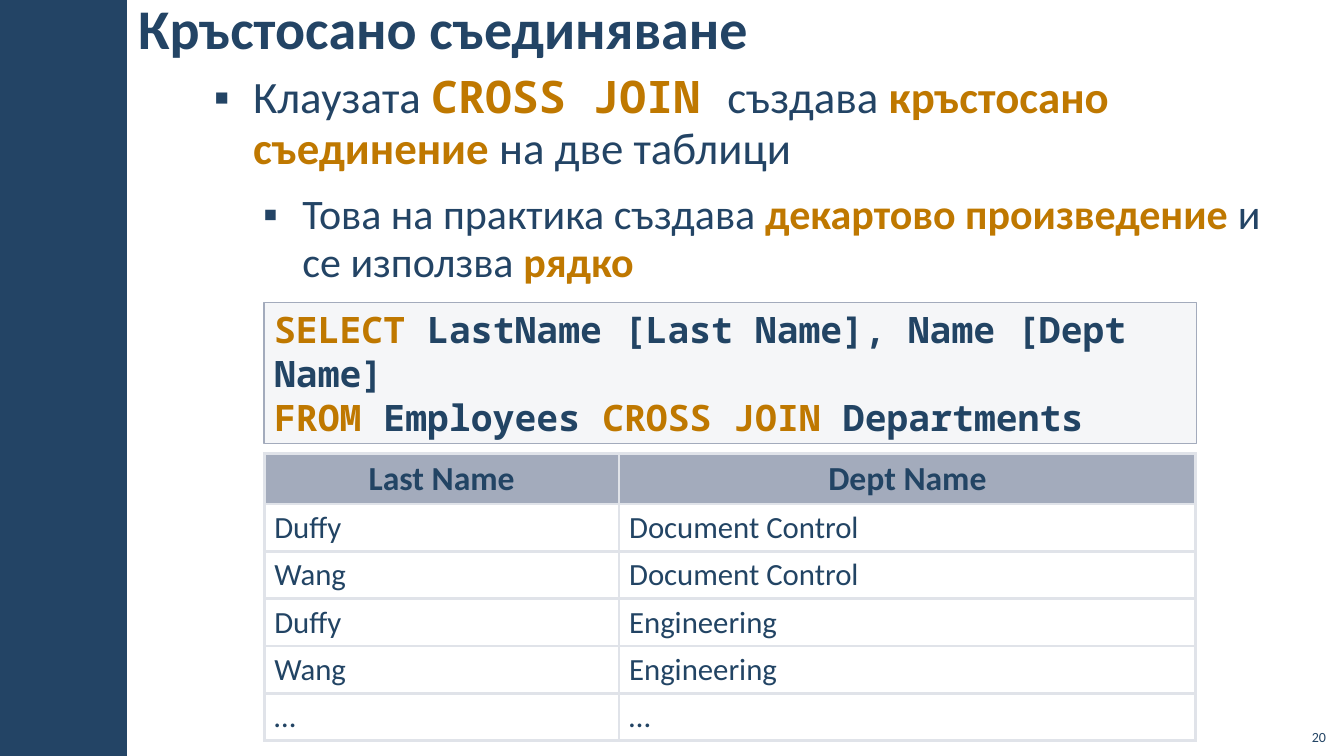
from dataclasses import dataclass

from lxml import etree
from pptx import Presentation
from pptx.dml.color import RGBColor
from pptx.enum.shapes import MSO_SHAPE
from pptx.enum.text import MSO_ANCHOR, MSO_AUTO_SIZE, PP_ALIGN
from pptx.oxml.ns import qn
from pptx.util import Emu, Pt

RECT = MSO_SHAPE.RECTANGLE
TOP, MID, LOW = MSO_ANCHOR.TOP, MSO_ANCHOR.MIDDLE, MSO_ANCHOR.BOTTOM
LEFT, MIDST, RIGHT = PP_ALIGN.LEFT, PP_ALIGN.CENTER, PP_ALIGN.RIGHT
FIXED, GROW = MSO_AUTO_SIZE.NONE, MSO_AUTO_SIZE.SHAPE_TO_FIT_TEXT

SCALE = 9144
NAVY, INK, GOLD = "234465", "224464", "BF7800"
SLATE, MIST, EDGE = "A3ABBC", "C2C7D2", "E0E3E9"
SANS, MONO = "Calibri", "Noto Sans Mono"


@dataclass
class Run:
    text: str
    size: float
    color: str = NAVY
    bold: bool = False
    font: str = SANS


@dataclass
class Item:
    level: int
    left: int
    runs: list[Run]


@dataclass
class Box:
    x: int
    y: int
    w: int
    h: int


def px(count: int) -> Emu:
    return Emu(count * SCALE)


def rgb(code: str) -> RGBColor:
    return RGBColor.from_string(code)


def write(para, runs: list[Run], align=LEFT) -> None:
    para.alignment = align
    for part in runs:
        run = para.add_run()
        run.text = part.text
        run.font.name = part.font
        run.font.size = Pt(part.size)
        run.font.bold = part.bold
        run.font.color.rgb = rgb(part.color)


def place(shape, box: Box) -> None:
    shape.left, shape.top = px(box.x), px(box.y)
    shape.width, shape.height = px(box.w), px(box.h)


def frame(shape, anchor, side: int, edge: int, fit=FIXED):
    text = shape.text_frame
    text.word_wrap = True
    text.auto_size = fit
    text.vertical_anchor = anchor
    text.margin_left = text.margin_right = px(side)
    text.margin_top = text.margin_bottom = px(edge)
    return text


def block(slide, box: Box, fill: str):
    shape = slide.shapes.add_shape(RECT, px(box.x), px(box.y), px(box.w), px(box.h))
    shape.shadow.inherit = False
    shape.fill.solid()
    shape.fill.fore_color.rgb = rgb(fill)
    shape.line.fill.background()
    return shape


def bullet(para, left: int) -> None:
    props = para._p.get_or_add_pPr()
    props.set("marL", str(px(left)))
    props.set("indent", str(px(-39)))
    color = etree.SubElement(props, qn("a:buClr"))
    etree.SubElement(color, qn("a:srgbClr"), val=NAVY)
    etree.SubElement(props, qn("a:buChar"), char="▪")


def border(cell) -> None:
    props = cell._tc.get_or_add_tcPr()
    for spot, side in enumerate(("lnL", "lnR", "lnT", "lnB")):
        line = etree.Element(qn(f"a:{side}"), w=str(Pt(2.21)))
        fill = etree.SubElement(line, qn("a:solidFill"))
        etree.SubElement(fill, qn("a:srgbClr"), val=EDGE)
        props.insert(spot, line)


def add_list(shape, items: list[Item]) -> None:
    text = frame(shape, TOP, 12, 4)
    for spot, item in enumerate(items):
        para = text.add_paragraph() if spot else text.paragraphs[0]
        para.level = item.level
        para.line_spacing = 0.95
        para.space_before = para.space_after = Pt(6)
        bullet(para, item.left)
        write(para, item.runs)


def add_code(slide, box: Box, lines: list[list[Run]]) -> None:
    shape = block(slide, box, MIST)
    color = shape.fill._xPr.find(f".//{qn('a:srgbClr')}")
    etree.SubElement(color, qn("a:alpha"), val="15000")
    shape.line.color.rgb = rgb(SLATE)
    shape.line.width = Pt(1)
    text = frame(shape, TOP, 10, 5, GROW)
    for spot, runs in enumerate(lines):
        write(text.add_paragraph() if spot else text.paragraphs[0], runs)


def add_grid(slide, box: Box, widths: list[int], rows: list[tuple[str, str]]) -> None:
    table = slide.shapes.add_table(
        len(rows), len(widths), px(box.x), px(box.y), px(box.w), px(box.h)
    ).table
    table.first_row = table.horz_banding = False
    for column, width in zip(table.columns, widths):
        column.width = px(width)
    for r, row in enumerate(rows):
        head = r == 0
        table.rows[r].height = px(50 if head else 47)
        size = 24 if head else 22
        for c, word in enumerate(row):
            cell = table.cell(r, c)
            cell.vertical_anchor = MID
            if head:
                cell.fill.solid()
                cell.fill.fore_color.rgb = rgb(SLATE)
            else:
                cell.fill.background()
            border(cell)
            para = cell.text_frame.paragraphs[0]
            para.line_spacing = 0.95
            para.space_before = Pt(size * 0.4)
            write(para, [Run(word, size, INK, head)], MIDST if head else LEFT)


def code(text: str, color: str = INK) -> Run:
    return Run(text, 26, color, True, MONO)


def main() -> None:
    deck = Presentation()
    deck.slide_width, deck.slide_height = px(1333), px(750)
    slide = deck.slides.add_slide(deck.slide_layouts[1])
    title, body = slide.placeholders

    block(slide, Box(0, 0, 126, 750), NAVY)

    place(title, Box(125, -21, 1002, 96))
    text = frame(title, MID, 12, 4)
    write(text.paragraphs[0], [Run("Кръстосано съединяване", 40, NAVY, True)])

    place(body, Box(200, 68, 1108, 607))
    add_list(body, [
        Item(0, 39, [
            Run("Клаузата ", 32),
            Run("CROSS JOIN ", 32, GOLD, True, MONO),
            Run("създава ", 32),
            Run("кръстосано съединение ", 32, GOLD, True),
            Run("на две таблици", 32),
        ]),
        Item(1, 88, [
            Run("Това на практика създава ", 30),
            Run("декартово произведение", 30, GOLD, True),
            Run(" и се използва ", 30),
            Run("рядко", 30, GOLD, True),
        ]),
    ])

    add_code(slide, Box(262, 300, 925, 140), [
        [code("SELECT ", GOLD), code("LastName [Last Name], Name [Dept Name]")],
        [code("FROM ", GOLD), code("Employees "),
         code("CROSS JOIN ", GOLD), code("Departments")],
    ])

    add_grid(slide, Box(262, 450, 924, 285), [352, 572], [
        ("Last Name", "Dept Name"),
        ("Duffy", "Document Control"),
        ("Wang", "Document Control"),
        ("Duffy", "Engineering"),
        ("Wang", "Engineering"),
        ("…", "…"),
    ])

    page = slide.shapes.add_textbox(px(1285), px(712), px(40), px(32))
    write(frame(page, LOW, 10, 5).paragraphs[0], [Run("20", 10)], RIGHT)

    deck.save("out.pptx")


if __name__ == "__main__":
    main()
